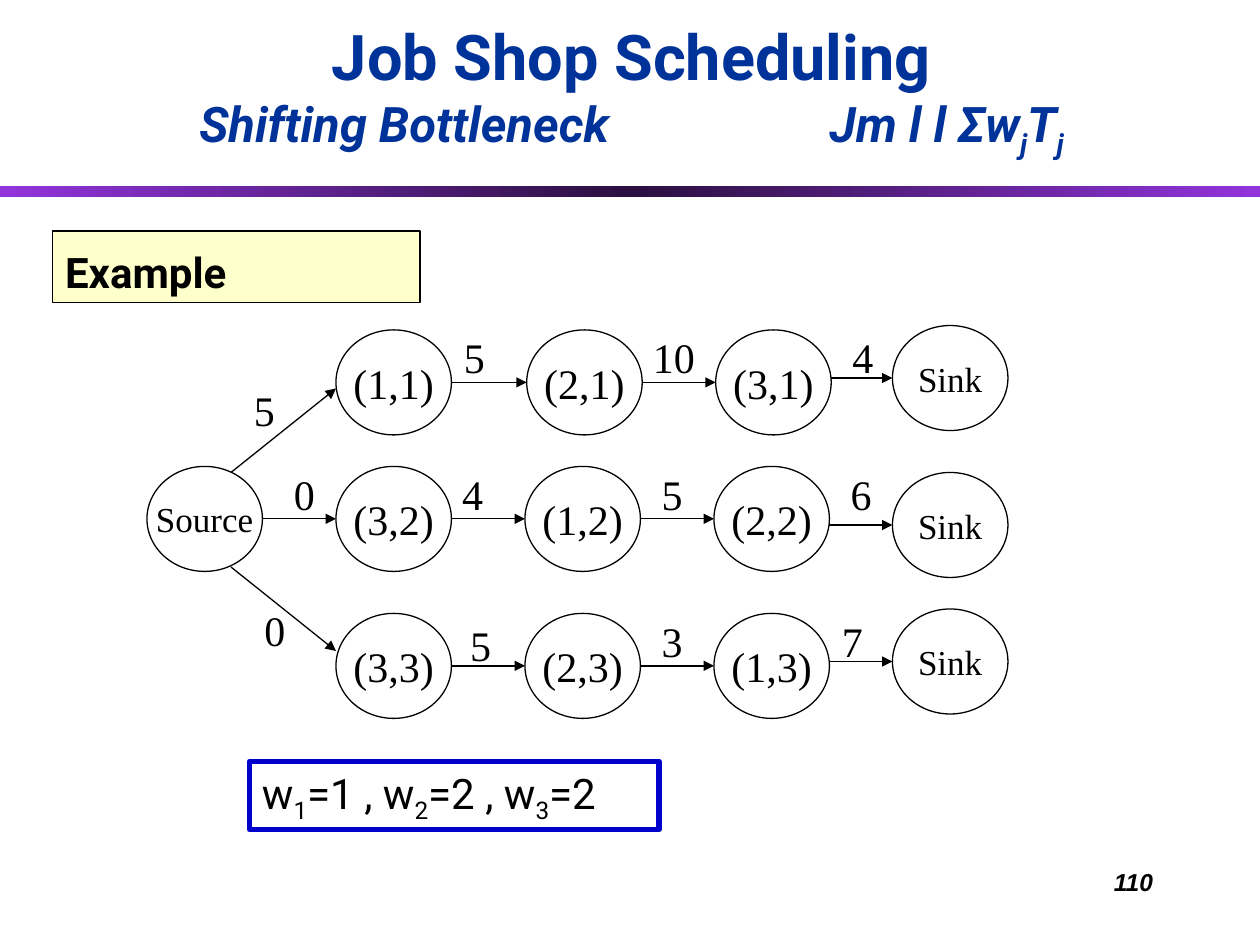
from copy import deepcopy

from lxml.etree import SubElement
from pptx import Presentation
from pptx.dml.color import RGBColor
from pptx.enum.shapes import MSO_CONNECTOR, MSO_SHAPE
from pptx.enum.text import MSO_ANCHOR, MSO_AUTO_SIZE, PP_ALIGN
from pptx.oxml.ns import qn
from pptx.util import Pt

COLORS = {
    "black": "000000",
    "heading": "003399",
    "cream": "FFFFCC",
    "frame": "0000CC",
    "purple": "9234DB",
    "dark purple": "2B1041",
}
NODE_WIDTH, NODE_HEIGHT = 66, 60
SUBSCRIPT = "-25000"


def color(name):
    return RGBColor.from_string(COLORS[name])


class SlideBuilder:
    serif = "Times New Roman"
    sans = "Roboto"

    def __init__(self, slide):
        self.slide = slide

    def format_runs(self, paragraph, size, font=serif, ink="black", bold=False, italic=False):
        for run in paragraph.runs:
            run.font.size = Pt(size)
            run.font.name = font
            run.font.color.rgb = color(ink)
            run.font.bold = bold
            run.font.italic = italic

    def add_subscripted(self, paragraph, parts):
        """Add runs in turn, every second one as a subscript."""
        for index, part in enumerate(parts):
            run = paragraph.add_run()
            run.text = part
            if index % 2:
                run.font._element.set("baseline", SUBSCRIPT)

    def outline(self, shape, ink="black", width=0.75):
        shape.line.color.rgb = color(ink)
        shape.line.width = Pt(width)

    def text_box(self, left, top, width, height, wrap=True):
        box = self.slide.shapes.add_textbox(Pt(left), Pt(top), Pt(width), Pt(height))
        box.text_frame.word_wrap = wrap
        return box

    def label(self, text, left, top):
        box = self.text_box(left, top, 14.4 + 12 * len(text), 36, wrap=False)
        box.text_frame.auto_size = MSO_AUTO_SIZE.SHAPE_TO_FIT_TEXT
        box.text_frame.text = text
        self.format_runs(box.text_frame.paragraphs[0], 24)

    def node(self, text, left, top, size=24):
        shape = self.slide.shapes.add_shape(
            MSO_SHAPE.OVAL, Pt(left), Pt(top), Pt(NODE_WIDTH), Pt(NODE_HEIGHT))
        shape.shadow.inherit = False
        shape.fill.background()
        self.outline(shape)
        frame = shape.text_frame
        frame.word_wrap = False
        frame.vertical_anchor = MSO_ANCHOR.MIDDLE
        frame.text = text
        frame.paragraphs[0].alignment = PP_ALIGN.CENTER
        self.format_runs(frame.paragraphs[0], size)

    def arrow(self, start_x, start_y, end_x, end_y):
        connector = self.slide.shapes.add_connector(
            MSO_CONNECTOR.STRAIGHT, Pt(start_x), Pt(start_y), Pt(end_x), Pt(end_y))
        self.outline(connector)
        SubElement(connector.line._get_or_add_ln(), qn("a:tailEnd"), type="triangle")
        SubElement(connector._element.spPr, qn("a:effectLst"))

    def gradient_bar(self, left, top, width, height):
        bar = self.slide.shapes.add_shape(
            MSO_SHAPE.RECTANGLE, Pt(left), Pt(top), Pt(width), Pt(height))
        bar.shadow.inherit = False
        bar.line.fill.background()
        bar.fill.gradient()
        bar.fill.gradient_angle = 0
        stop_list = bar._element.spPr.find(qn("a:gradFill")).find(qn("a:gsLst"))
        stop_list.append(deepcopy(stop_list[0]))
        names = ("purple", "dark purple", "purple")
        for stop, name, position in zip(bar.fill.gradient_stops, names, (0, 0.5, 1)):
            stop.color.rgb = color(name)
            stop.position = position

    def heading(self):
        frame = self.text_box(30, 18, 661.7, 77).text_frame
        frame.vertical_anchor = MSO_ANCHOR.BOTTOM
        paragraph = frame.paragraphs[0]
        paragraph.alignment = PP_ALIGN.CENTER
        tabs = SubElement(paragraph._p.get_or_add_pPr(), qn("a:tabLst"))
        SubElement(tabs, qn("a:tab"), pos=str(Pt(360)), algn="l")
        paragraph.add_run().text = "Job Shop Scheduling"
        paragraph.add_line_break()
        self.add_subscripted(paragraph, ["Shifting Bottleneck\tJm l l Σw", "j", "T", "j"])
        self.format_runs(paragraph, 28, self.sans, "heading", bold=True, italic=True)
        first_line = paragraph.runs[0].font
        first_line.size = Pt(36)
        first_line.italic = False

    def example_title(self):
        title = self.slide.shapes.title
        title.left, title.top, title.width, title.height = Pt(30), Pt(132), Pt(210), Pt(41)
        title.fill.solid()
        title.fill.fore_color.rgb = color("cream")
        self.outline(title)
        frame = title.text_frame
        frame.text = "Example"
        frame.auto_size = MSO_AUTO_SIZE.NONE
        frame.vertical_anchor = MSO_ANCHOR.BOTTOM
        frame.paragraphs[0].alignment = PP_ALIGN.LEFT
        self.format_runs(frame.paragraphs[0], 24, self.sans, bold=True)

    def weights(self):
        box = self.text_box(142.6, 435, 234, 39)
        self.outline(box, "frame", 3)
        paragraph = box.text_frame.paragraphs[0]
        self.add_subscripted(paragraph, ["w", "1", "=1 , w", "2", "=2 , w", "3", "=2"])
        self.format_runs(paragraph, 24, self.sans)

    def page_number(self, text):
        frame = self.text_box(516, 492, 150, 36).text_frame
        frame.text = text
        frame.paragraphs[0].alignment = PP_ALIGN.RIGHT
        self.format_runs(frame.paragraphs[0], 14, "Arial", bold=True, italic=True)

    def job(self, operations, lefts, top, sink_top):
        """Draw one job's chain of operations, ending at its sink."""
        sink_left = 510
        middle = top + NODE_HEIGHT / 2
        for text, left in zip(operations, lefts):
            self.node(text, left, top)
        for left, following in zip(lefts, lefts[1:]):
            self.arrow(left + NODE_WIDTH, middle, following, middle)
        self.node("Sink", sink_left, sink_top, 20)
        sink_middle = sink_top + NODE_HEIGHT / 2
        self.arrow(lefts[-1] + NODE_WIDTH, sink_middle, sink_left, sink_middle)


def main():
    presentation = Presentation()
    presentation.slide_width, presentation.slide_height = Pt(720), Pt(540)
    builder = SlideBuilder(presentation.slides.add_slide(presentation.slide_layouts[5]))

    # Headings
    builder.gradient_bar(0, 106.5, 720, 6)
    builder.heading()
    builder.example_title()

    # Source and its arrows to the first operations
    builder.node("Source", 84, 266.5, 20)
    builder.arrow(132, 270, 192, 222)
    builder.arrow(150, 296.5, 192, 296.5)
    builder.arrow(132, 324, 192, 372)

    # Jobs
    builder.job(["(1,1)", "(2,1)", "(3,1)"], [192, 301, 409], 188.5, 186)
    builder.job(["(3,2)", "(1,2)", "(2,2)"], [192, 300, 408], 266.5, 270)
    builder.job(["(3,3)", "(2,3)", "(1,3)"], [192, 300, 408], 350.5, 348)

    # Processing times on the arrows, job by job
    for text, left, top in [
        ("5", 138, 216), ("5", 258, 186), ("10", 366, 186), ("4", 480, 186),
        ("0", 160.8, 264), ("4", 257, 264), ("5", 371, 264), ("6", 479, 264),
        ("0", 144, 342), ("5", 261.6, 350.5), ("3", 371, 348), ("7", 474, 348),
    ]:
        builder.label(text, left, top)

    # Job weights and page number
    builder.weights()
    builder.page_number("110")
    presentation.save("out.pptx")


if __name__ == "__main__":
    main()
